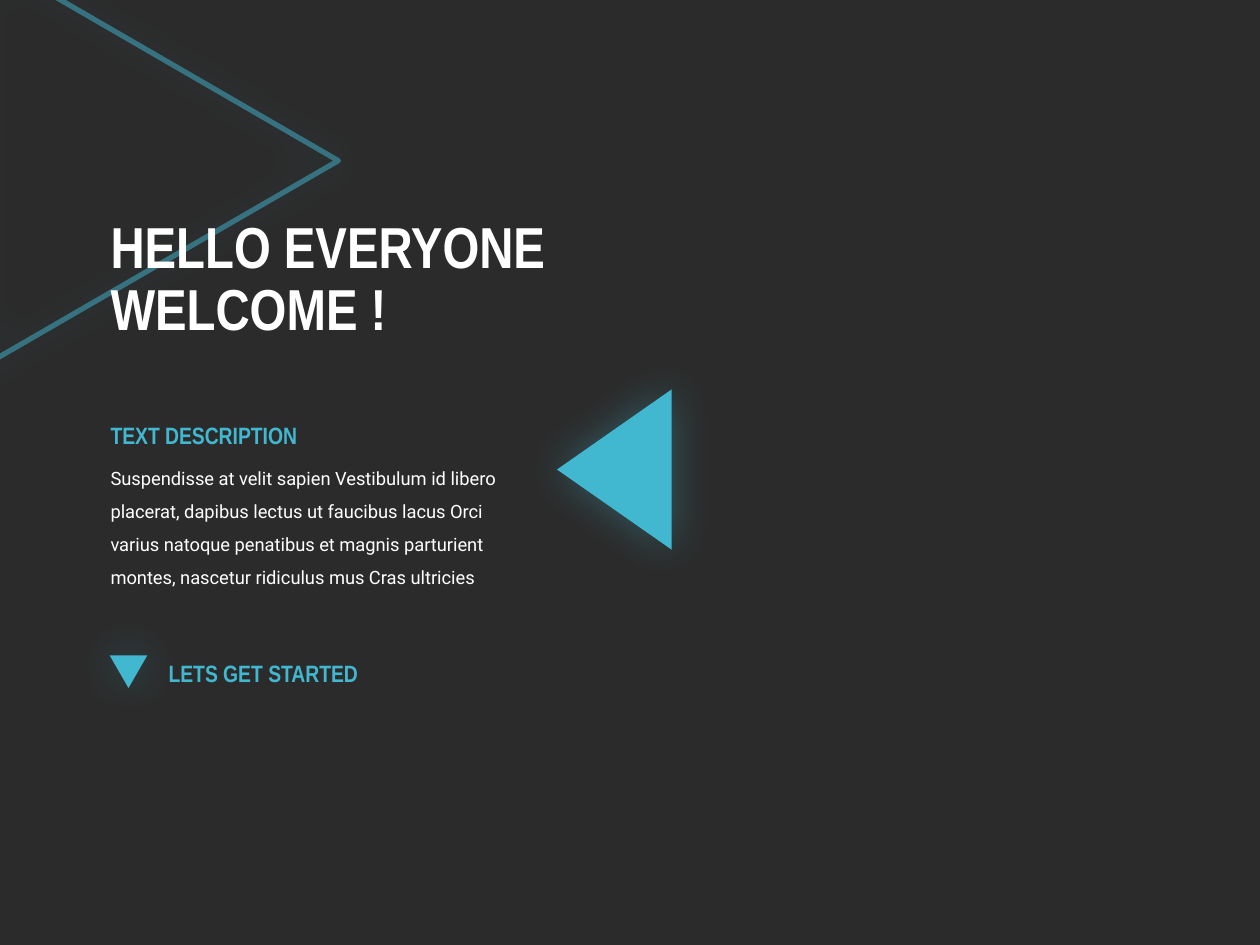
"""Build a dark welcome slide with glowing triangles."""
from lxml import etree
from pptx import Presentation
from pptx import util as u
from pptx.dml.color import RGBColor
from pptx.enum import shapes, text
from pptx.oxml import ns


def tint(code):
    return RGBColor.from_string(code)


def add(parent, tag, **attrs):
    return etree.SubElement(parent, ns.qn(tag), attrs)


class Deck:
    dark, blue, white = "2B2B2B", "41B7D0", "FFFFFF"
    head, body = "Arial Narrow", "Roboto"

    def __init__(self):
        self.prs = Presentation()
        self.prs.slide_width, self.prs.slide_height = u.Cm(25.4), u.Cm(19.05)
        self.slide = self.prs.slides.add_slide(self.prs.slide_layouts[6])
        fill = self.slide.background.fill
        fill.solid()
        fill.fore_color.rgb = tint(self.dark)

    def wedge(self, x, y, w, h, turn, hollow=False):
        shape = self.slide.shapes.add_shape(
            shapes.MSO_SHAPE.ISOSCELES_TRIANGLE, *map(u.Cm, (x, y, w, h)))
        shape.rotation = turn
        if hollow:
            shape.fill.background()
            shape.line.width = u.Pt(3)
            shape.line.color.rgb = tint(self.blue)
            for clr in shape.line._ln.iter(ns.qn("a:srgbClr")):
                add(clr, "a:alpha", val="50000")
        else:
            shape.fill.solid()
            shape.fill.fore_color.rgb = tint(self.blue)
            shape.line.fill.background()
        self.glow(shape)

    def glow(self, shape):
        shape.shadow.inherit = False
        fx = shape._element.spPr.find(ns.qn("a:effectLst"))
        shade = add(fx, "a:outerShdw", blurRad=str(u.Pt(25)), dist="0",
                    dir="0", algn="ctr", rotWithShape="0")
        clr = add(shade, "a:srgbClr", val=self.blue)
        add(clr, "a:alpha", val="35000")

    def words(self, x, y, w, h, copy, size, face, color, bold=True,
              lead=1.0, mid=False):
        box = self.slide.shapes.add_textbox(*map(u.Cm, (x, y, w, h)))
        frame = box.text_frame
        frame.word_wrap = True
        if mid:
            frame.vertical_anchor = text.MSO_ANCHOR.MIDDLE
        else:
            frame.auto_size = text.MSO_AUTO_SIZE.SHAPE_TO_FIT_TEXT
        para = frame.paragraphs[0]
        para.text = copy
        para.line_spacing = lead
        font = para.font
        font.size, font.name, font.bold = u.Pt(size), face, bold
        font.color.rgb = tint(color)

    def title(self, x, y, w, h, copy):
        self.words(x, y, w, h, copy, 33, self.head, self.white,
                   lead=0.9, mid=True)

    def label(self, x, y, copy):
        self.words(x, y, 4.67, 0.84, copy, 13.5, self.head, self.blue)

    def prose(self, x, y, w, h, copy):
        self.words(x, y, w, h, copy, 10.5, self.body, self.white,
                   bold=False, lead=1.5)


def main():
    deck = Deck()
    left = 1.98
    deck.wedge(-0.99, -0.38, 8.38, 7.24, 90, hollow=True)
    deck.title(left, 3.66, 10.72, 4.01, "HELLO EVERYONE\vWELCOME !")
    deck.wedge(10.77, 8.31, 3.23, 2.31, 270)
    deck.prose(left, 9.07, 8.59, 2.87,
               "Suspendisse at velit sapien Vestibulum id libero placerat, "
               "dapibus lectus ut faucibus lacus Orci varius natoque "
               "penatibus et magnis parturient montes, nascetur ridiculus "
               "mus Cras ultricies")
    deck.label(left, 8.36, "TEXT DESCRIPTION")
    deck.wedge(2.21, 13.21, 0.76, 0.66, 180)
    deck.label(3.15, 13.16, "LETS GET STARTED")
    deck.prs.save("out.pptx")


if __name__ == "__main__":
    main()
